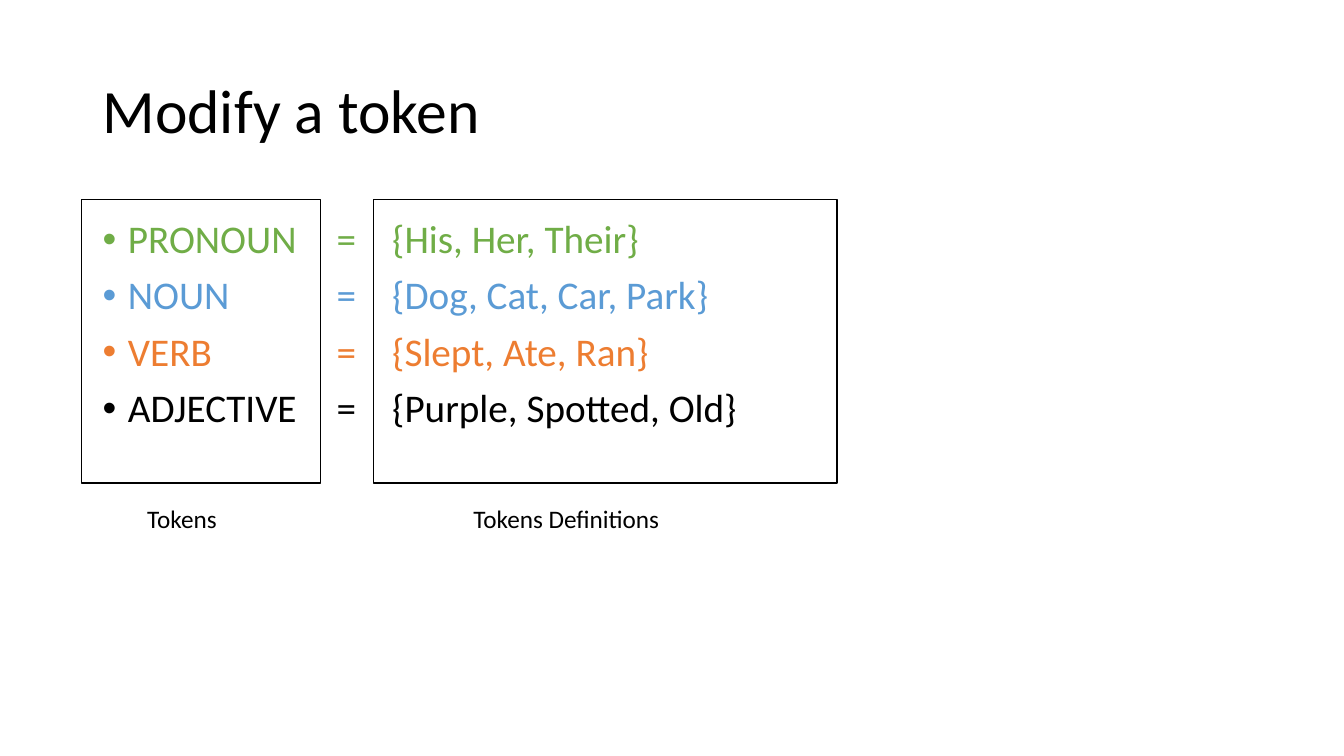
from lxml.etree import SubElement
from pptx import Presentation
from pptx.dml.color import RGBColor
from pptx.enum.shapes import MSO_SHAPE
from pptx.enum.text import MSO_ANCHOR, MSO_AUTO_SIZE, PP_ALIGN
from pptx.oxml.ns import qn
from pptx.util import Cm, Pt

BLACK = "000000"
TOKENS = [
    ("PRONOUN", "{His, Her, Their}", "70AD47"),
    ("NOUN", "{Dog, Cat, Car, Park}", "5B9BD5"),
    ("VERB", "{Slept, Ate, Ran}", "ED7D31"),
    ("ADJECTIVE", "{Purple, Spotted, Old}", BLACK),
]
STOPS = (5.9, 7.3)  # equals sign, definition


def paint(target, color):
    target.rgb = RGBColor.from_string(color)


def write(para, text, size, color=BLACK):
    run = para.add_run()
    run.text = text
    run.font.name = "Calibri"
    run.font.size = Pt(size)
    paint(run.font.color, color)


def place(shape, box):
    shape.left, shape.top, shape.width, shape.height = map(Cm, box)


def title(shape, box):
    place(shape, box)
    frame = shape.text_frame
    frame.auto_size = MSO_AUTO_SIZE.NONE
    frame.vertical_anchor = MSO_ANCHOR.MIDDLE
    para = frame.paragraphs[0]
    para.alignment = PP_ALIGN.LEFT
    para.line_spacing = 0.9
    write(para, "Modify a token", 44)


def rules(shape, box):
    place(shape, box)
    frame = shape.text_frame
    frame.auto_size = MSO_AUTO_SIZE.NONE
    for i, (token, words, color) in enumerate(TOKENS):
        para = frame.add_paragraph() if i else frame.paragraphs[0]
        para.line_spacing = 0.9
        para.space_before = Pt(10)
        # Bullet indent and column stops
        props = para._p.get_or_add_pPr()
        props.set("marL", str(Cm(0.64)))
        props.set("indent", str(Cm(-0.64)))
        SubElement(props, qn("a:buFont"), typeface="Arial")
        SubElement(props, qn("a:buChar"), char="•")
        tabs = SubElement(props, qn("a:tabLst"))
        for stop in STOPS:
            SubElement(tabs, qn("a:tab"), pos=str(Cm(stop)), algn="l")
        for part in (token, "\t=", "\t" + words):
            write(para, part, 28, color)


def panel(slide, box, name, inset, width):
    left, top, _, height = box
    # Frame
    rect = slide.shapes.add_shape(MSO_SHAPE.RECTANGLE, *map(Cm, box))
    rect.shadow.inherit = False
    rect.fill.background()
    rect.line.width = Pt(1)
    paint(rect.line.color, BLACK)
    # Caption below
    spot = (left + inset, top + height + 0.38, width, 1.02)
    label = slide.shapes.add_textbox(*map(Cm, spot))
    frame = label.text_frame
    frame.word_wrap = False
    frame.auto_size = MSO_AUTO_SIZE.SHAPE_TO_FIT_TEXT
    write(frame.paragraphs[0], name, 18)


def main():
    deck = Presentation()
    deck.slide_width, deck.slide_height = Cm(33.87), Cm(19.05)
    slide = deck.slides.add_slide(deck.slide_layouts[1])
    title(slide.shapes.title, (2.33, 1.01, 29.21, 3.68))
    rules(slide.placeholders[1], (2.33, 5.41, 28.68, 6.5))
    panel(slide, (2.06, 5.03, 6.02, 7.14), "Tokens", 1.4, 2.29)
    panel(slide, (9.42, 5.03, 11.68, 7.14), "Tokens Definitions", 2.26, 5.26)
    deck.save("out.pptx")


if __name__ == "__main__":
    main()
